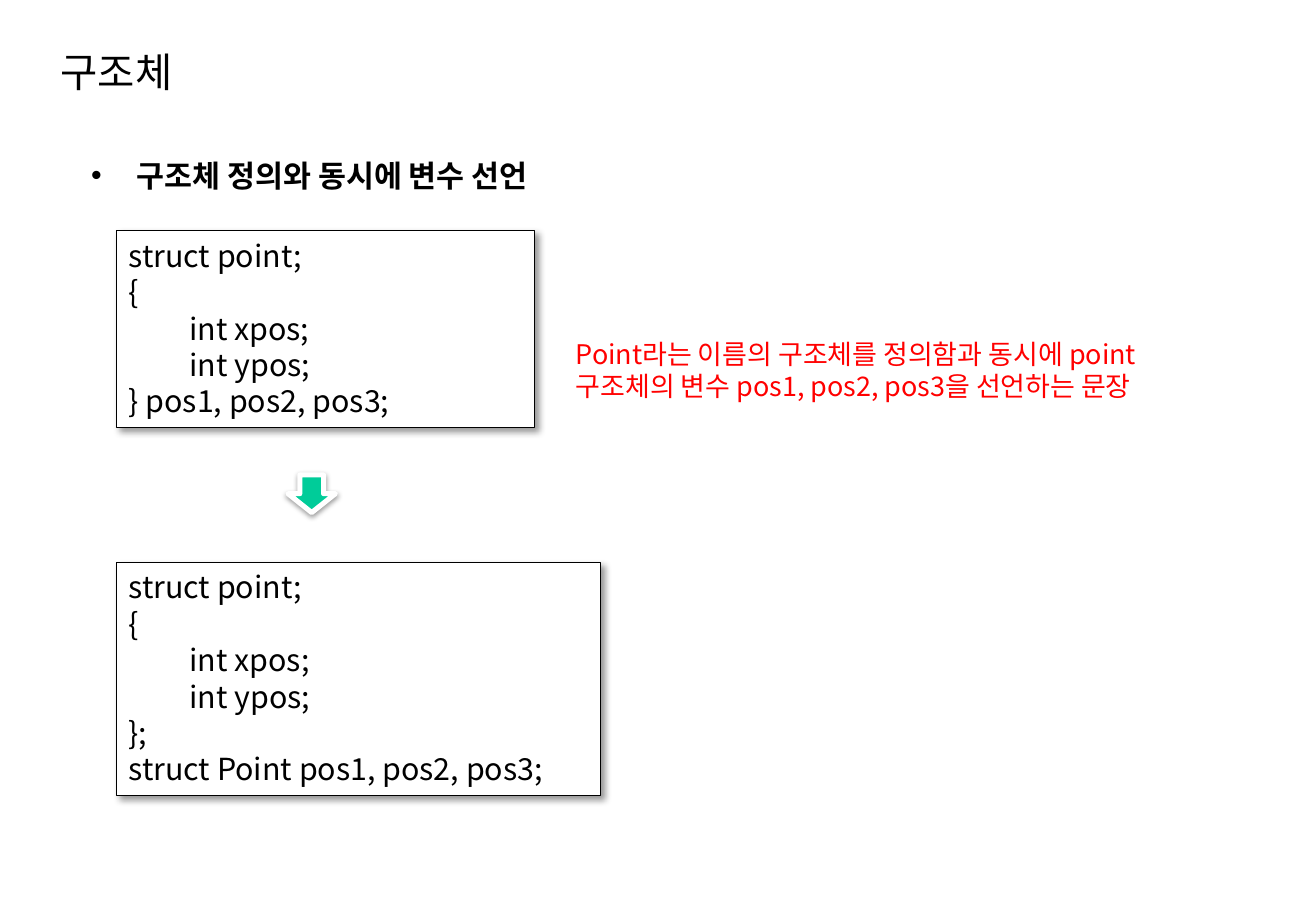
"""Build the slide on declaring variables together with a structure definition."""
import dataclasses

import lxml.etree
import pptx
import pptx.dml.color
import pptx.enum.shapes
import pptx.enum.text
import pptx.oxml.ns
import pptx.util

Inches = pptx.util.Inches
Pt = pptx.util.Pt


@dataclasses.dataclass(frozen=True)
class Theme:
    font: str = "Noto Sans CJK KR"
    text: str = "000000"
    paper: str = "FFFFFF"
    accent: str = "00CC99"
    note: str = "FF0000"
    title_size: int = 24
    body_size: int = 18
    note_size: int = 16
    line_ratio: float = 1.2


class SlideBuilder:
    def __init__(self, slide, theme):
        self.slide = slide
        self.theme = theme

    def place(self, shape, left, top, width, height):
        shape.left, shape.top = Inches(left), Inches(top)
        shape.width, shape.height = Inches(width), Inches(height)

    def fill_text(self, shape, lines, size, color, bold=False, line_ratio=None):
        frame = shape.text_frame
        frame.word_wrap = True
        frame.auto_size = pptx.enum.text.MSO_AUTO_SIZE.NONE
        frame.text = "\n".join(lines)
        for paragraph in frame.paragraphs:
            paragraph.alignment = pptx.enum.text.PP_ALIGN.LEFT
            paragraph.line_spacing = Pt(size * (line_ratio or self.theme.line_ratio))
            paragraph.space_before = Pt(0)
            paragraph.font.name = self.theme.font
            paragraph.font.size = Pt(size)
            paragraph.font.bold = bold
            paragraph.font.color.rgb = pptx.dml.color.RGBColor.from_string(color)
            for run in paragraph.runs:
                properties = run._r.get_or_add_rPr()
                east_asian = lxml.etree.SubElement(properties, pptx.oxml.ns.qn("a:ea"))
                east_asian.set("typeface", self.theme.font)

    def title(self, text, *box):
        shape = self.slide.shapes.title
        self.place(shape, *box)
        self.fill_text(shape, [text], self.theme.title_size, self.theme.text)
        shape.text_frame.vertical_anchor = pptx.enum.text.MSO_ANCHOR.MIDDLE

    def heading(self, text, *box):
        shape = self.slide.placeholders[1]
        self.place(shape, *box)
        properties = shape.text_frame.paragraphs[0]._p.get_or_add_pPr()
        properties.set("marL", str(Inches(0.38)))
        properties.set("indent", str(Inches(-0.38)))
        bullet = lxml.etree.SubElement(properties, pptx.oxml.ns.qn("a:buChar"))
        bullet.set("char", "❖")
        self.fill_text(shape, [text], self.theme.body_size, self.theme.text,
                       bold=True, line_ratio=1.8)

    def shape(self, kind, box, fill, line, line_width, shadow):
        shape = self.slide.shapes.add_shape(kind, *map(Inches, box))
        shape.fill.solid()
        shape.fill.fore_color.rgb = pptx.dml.color.RGBColor.from_string(fill)
        shape.line.color.rgb = pptx.dml.color.RGBColor.from_string(line)
        shape.line.width = Pt(line_width)
        shape.shadow.inherit = False
        self.shadow(shape, *shadow)
        return shape

    def shadow(self, shape, opacity, blur, distance, angle):
        qn = pptx.oxml.ns.qn
        effects = shape.element.spPr.find(qn("a:effectLst"))
        outer = lxml.etree.SubElement(effects, qn("a:outerShdw"), {
            "blurRad": str(Pt(blur)), "dist": str(Pt(distance)),
            "dir": str(angle * 60000), "algn": "tl", "rotWithShape": "0"})
        color = lxml.etree.SubElement(outer, qn("a:srgbClr"), val=self.theme.text)
        lxml.etree.SubElement(color, qn("a:alpha"), val=str(opacity * 1000))

    def code(self, lines, *box):
        shape = self.shape(pptx.enum.shapes.MSO_SHAPE.RECTANGLE, box,
                           self.theme.paper, self.theme.text, 0.75, (40, 4, 3, 45))
        self.fill_text(shape, lines, self.theme.body_size, self.theme.text)
        shape.text_frame.vertical_anchor = pptx.enum.text.MSO_ANCHOR.TOP

    def arrow(self, *box):
        self.shape(pptx.enum.shapes.MSO_SHAPE.DOWN_ARROW, box,
                   self.theme.accent, self.theme.paper, 3, (38, 3.1, 1.6, 90))

    def note(self, lines, *box):
        shape = self.slide.shapes.add_textbox(*map(Inches, box))
        self.fill_text(shape, lines, self.theme.note_size, self.theme.note)


def main():
    presentation = pptx.Presentation()
    presentation.slide_width = Inches(10.83)
    presentation.slide_height = Inches(7.5)
    slide = presentation.slides.add_slide(presentation.slide_layouts[1])
    builder = SlideBuilder(slide, Theme())

    builder.title("구조체", 0.4, 0.32, 6.26, 0.54)
    builder.heading("구조체 정의와 동시에 변수 선언", 0.65, 1.09, 9.33, 5.58)

    definition = ["struct point;", "{", "\tint xpos;", "\tint ypos;"]
    builder.code(definition + ["} pos1, pos2, pos3;"], 0.96, 1.9, 3.44, 1.62)
    builder.arrow(2.37, 3.91, 0.39, 0.31)
    builder.code(definition + ["};", "struct Point pos1, pos2, pos3;"],
                 0.96, 4.63, 3.98, 1.92)
    builder.note(["Point라는 이름의 구조체를 정의함과 동시에 point",
                  "구조체의 변수 pos1, pos2, pos3을 선언하는 문장"],
                 4.64, 2.73, 5.31, 0.64)

    presentation.save("out.pptx")


if __name__ == "__main__":
    main()
